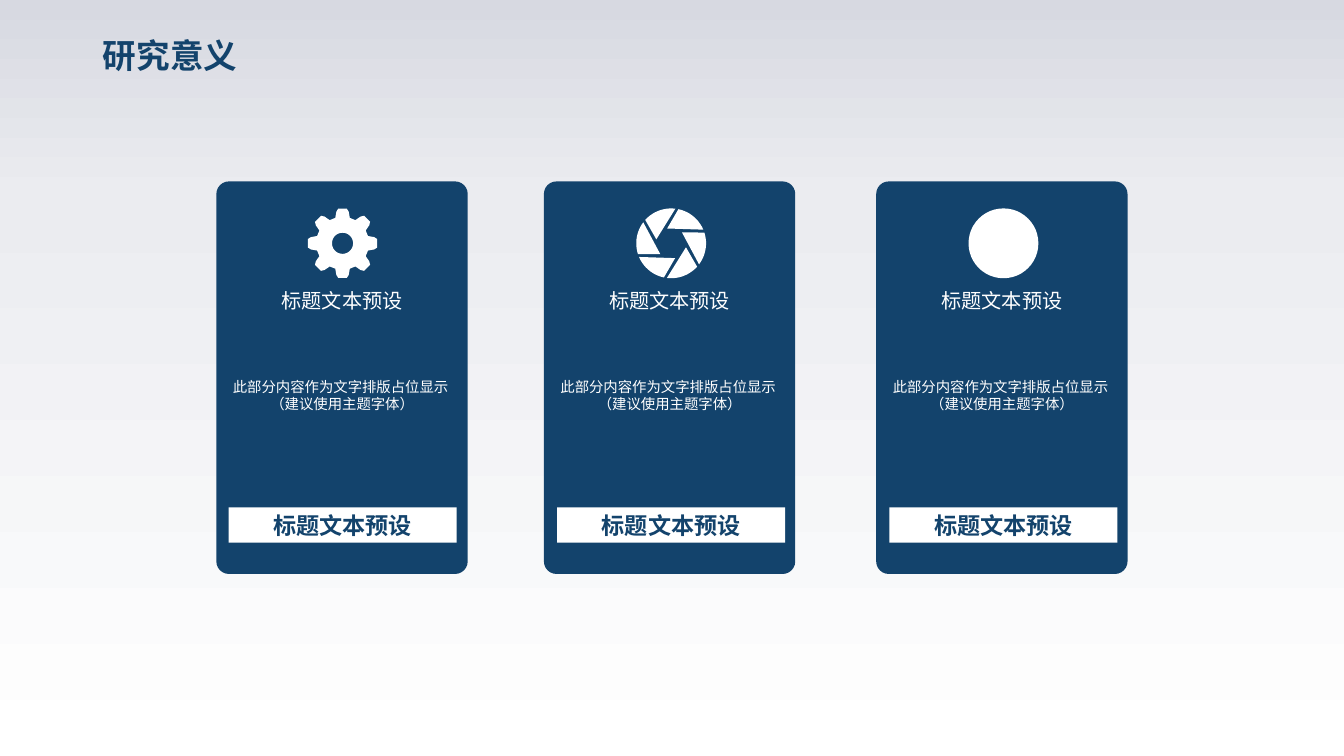
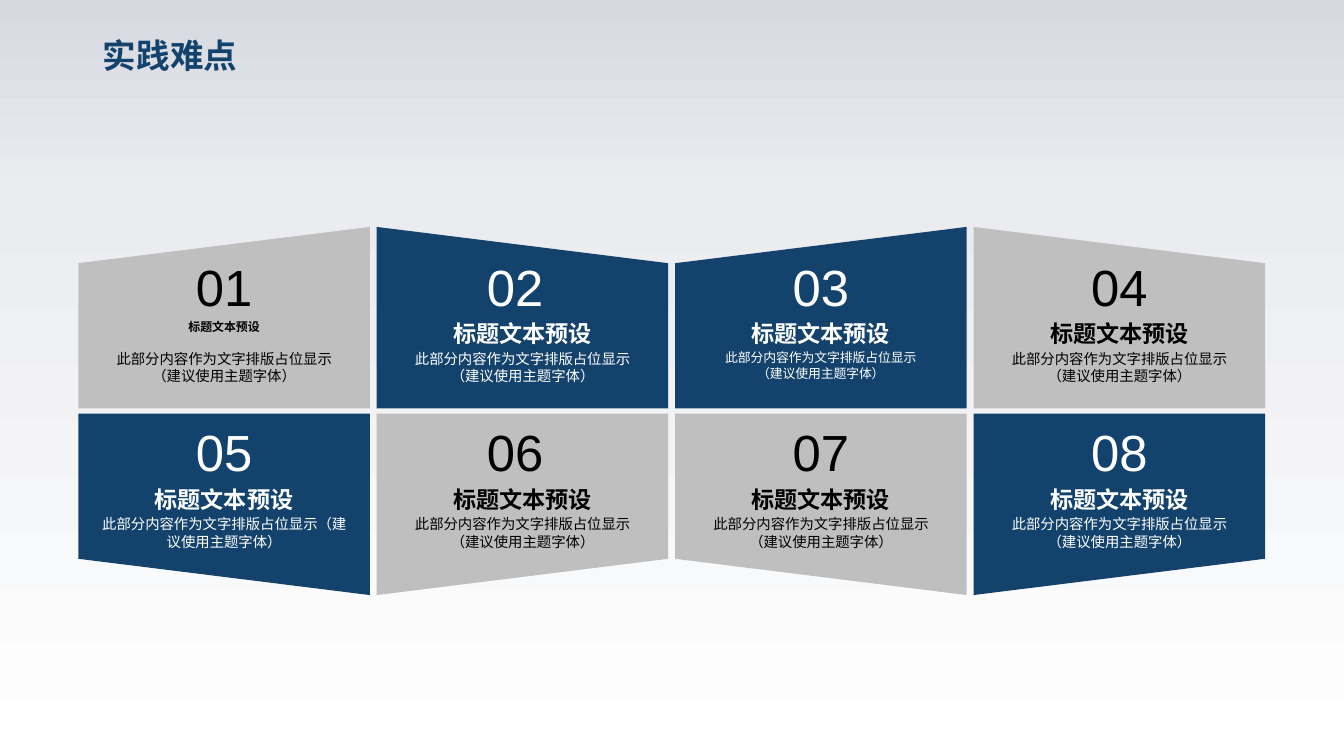
"""Build two slides: three research cards and a folded wall of eight tiles."""
from copy import deepcopy
from dataclasses import dataclass
from math import cos, radians, sin

from pptx import Presentation
from pptx import util as u
from pptx.dml.color import RGBColor
from pptx.enum import shapes, text
from pptx.oxml.ns import qn


@dataclass(frozen=True)
class Theme:
    navy: str = "13436C"
    gray: str = "BFBFBF"
    white: str = "FFFFFF"
    black: str = "000000"
    font: str = "Arial"
    title: float = 18
    label: float = 12.4
    head: float = 10.8
    note: float = 7.7
    digit: float = 27.2
    back: tuple = ((0, "D7D9E1"), (0.26, "EBECF0"), (1, "FFFFFF"))


T = Theme()
HEAD = "标题文本预设"
BODY = "此部分内容作为文字排版占位显示\n（建议使用主题字体）"
CARDS = [
    {"left": 4.09, "icon": "gear", "drop": 1.92, "shift": 0},
    {"left": 10.28, "icon": "lens", "drop": 1.93, "shift": 0.02},
    {"left": 16.56, "icon": "disc", "drop": 1.93, "shift": 0.02},
]
TILES = [
    [
        {"num": "01", "fill": T.gray, "head": 6.4},
        {"num": "02", "fill": T.navy},
        {"num": "03", "fill": T.navy, "note": 6.9},
        {"num": "04", "fill": T.gray},
    ],
    [
        {"num": "05", "fill": T.navy, "body": BODY.replace("\n", ""), "inset": 0.1},
        {"num": "06", "fill": T.gray},
        {"num": "07", "fill": T.gray},
        {"num": "08", "fill": T.navy},
    ],
]
NUDGE = [0, -0.14, 0, 0]


def cm(*vals):
    return [u.Cm(v) for v in vals]


def write(shape, words, size, color, bold=False, align="CENTER",
          anchor="TOP", wrap=False, pad=None):
    frame = shape.text_frame
    frame.word_wrap = wrap
    frame.vertical_anchor = getattr(text.MSO_ANCHOR, anchor)
    if pad is not None:
        frame.margin_left = frame.margin_right = u.Cm(pad)
        frame.margin_top = frame.margin_bottom = u.Cm(pad)
    para = frame.paragraphs[0]
    para.text = words
    para.alignment = getattr(text.PP_ALIGN, align)
    for run in para.runs:
        run.font.name, run.font.size, run.font.bold = T.font, u.Pt(size), bold
        run.font.color.rgb = RGBColor.from_string(color)
    for br in para._p.findall(qn("a:br")):
        br.append(deepcopy(para.runs[0].font._rPr))


def label(group, box, words, size, color, **form):
    write(group.shapes.add_textbox(*cm(*box)), words, size, color, **form)


def paint(shape, color):
    shape.fill.solid()
    shape.fill.fore_color.rgb = RGBColor.from_string(color)
    shape.line.fill.background()
    shape.shadow.inherit = False
    return shape


def block(group, kind, box, color):
    return paint(group.shapes.add_shape(kind, *cm(*box)), color)


def polar(x, y, rad, deg):
    return u.Cm(x + rad * cos(radians(deg))), u.Cm(y + rad * sin(radians(deg)))


def draw(group, paths):
    pen = group.shapes.build_freeform(*paths[0][0])
    for i, path in enumerate(paths):
        if i:
            pen.move_to(*path[0])
        pen.add_line_segments(path[1:], close=True)
    paint(pen.convert_to_shape(), T.white)


def gear(group, x, y):
    tooth = [(-16, 0.5), (-11, 0.61), (-7, 0.66), (7, 0.66), (11, 0.61), (16, 0.5)]
    rim = [polar(x, y, rad, turn + deg)
           for turn in range(0, 360, 45) for deg, rad in tooth]
    hole = [polar(x, y, 0.2, deg) for deg in range(360, 0, -10)]
    draw(group, [rim, hole])


def lens(group, x, y):
    draw(group, [
        [polar(x, y, 0.66, turn - deg) for deg in range(83, 139, 5)]
        + [polar(x, y, 0.29, turn - 165)]
        for turn in range(0, 360, 60)
    ])


def disc(group, x, y):
    block(group, shapes.MSO_SHAPE.OVAL, (x - 0.66, y - 0.66, 1.32, 1.32), T.white)


ICONS = {"gear": gear, "lens": lens, "disc": disc}


def card(slide, left, icon, drop, shift):
    top, wide, high = 3.43, 4.75, 7.42
    group = slide.shapes.add_group_shape()
    panel = block(group, shapes.MSO_SHAPE.ROUNDED_RECTANGLE,
                  (left, top, wide, high), T.navy)
    panel.adjustments[0] = 0.05
    strip = block(group, shapes.MSO_SHAPE.RECTANGLE,
                  (left + 0.23 + shift, top + 6.16, 4.31, 0.67), T.white)
    write(strip, HEAD, T.label, T.navy, bold=True, anchor="MIDDLE")
    label(group, (left, top + drop, wide, 0.64), HEAD, T.head, T.white,
          anchor="MIDDLE")
    label(group, (left, top + 3.55, wide, 0.97), BODY.replace("\n", " \n"),
          T.note, T.white, anchor="MIDDLE", wrap=True, pad=0)
    ICONS[icon](group, left + wide / 2 + 0.01 + shift, top + 1.17)


def tile(slide, row, col, num, fill, head=T.label, note=T.note, body=BODY,
         inset=0):
    wide, high = 5.51, 3.43
    left, top = 1.48 + col * 5.64, 4.29 + row * 3.53
    ink = T.white if fill == T.navy else T.black
    lift = top - row * 0.4
    group = slide.shapes.add_group_shape()
    base = block(group, shapes.MSO_SHAPE.FLOWCHART_MANUAL_INPUT,
                 (left, top, wide, high), fill)
    for key, on in (("flipH", col % 2), ("flipV", row)):
        if on:
            base.element.spPr.xfrm.set(key, "1")
    label(group, (left, lift + 1.63, wide, 0.71), HEAD, head, ink, bold=True)
    label(group, (left + inset, lift + 2.2, wide - 2 * inset, 0.97), body, note,
          ink, wrap=True)
    label(group, (left + wide / 2 - 0.66 + NUDGE[col], lift + 0.44, 1.32, 1.22),
          num, T.digit, ink, pad=0.1)


def shade(master):
    fill = master.background.fill
    fill.gradient()
    fill.gradient_angle = 270
    stops = master.element.xpath("./p:cSld/p:bg//a:gsLst")[0]
    stops.append(deepcopy(stops[0]))
    for stop, (pos, color) in zip(fill.gradient_stops, T.back):
        stop.position = pos
        stop.color.rgb = RGBColor.from_string(color)


def page(deck, words):
    slide = deck.slides.add_slide(deck.slide_layouts[5])
    title = slide.shapes.title
    title.left, title.top, title.width, title.height = cm(1.69, 0.53, 3.07, 1.02)
    write(title, words, T.title, T.navy, bold=True, align="LEFT")
    title.text_frame.auto_size = text.MSO_AUTO_SIZE.SHAPE_TO_FIT_TEXT
    return slide


def main():
    deck = Presentation()
    deck.slide_width, deck.slide_height = cm(25.4, 14.29)
    shade(deck.slide_master)
    slide = page(deck, "研究意义")
    for item in CARDS:
        card(slide, **item)
    slide = page(deck, "实践难点")
    for row, line in enumerate(TILES):
        for col, item in enumerate(line):
            tile(slide, row, col, **item)
    deck.save("out.pptx")


if __name__ == "__main__":
    main()
